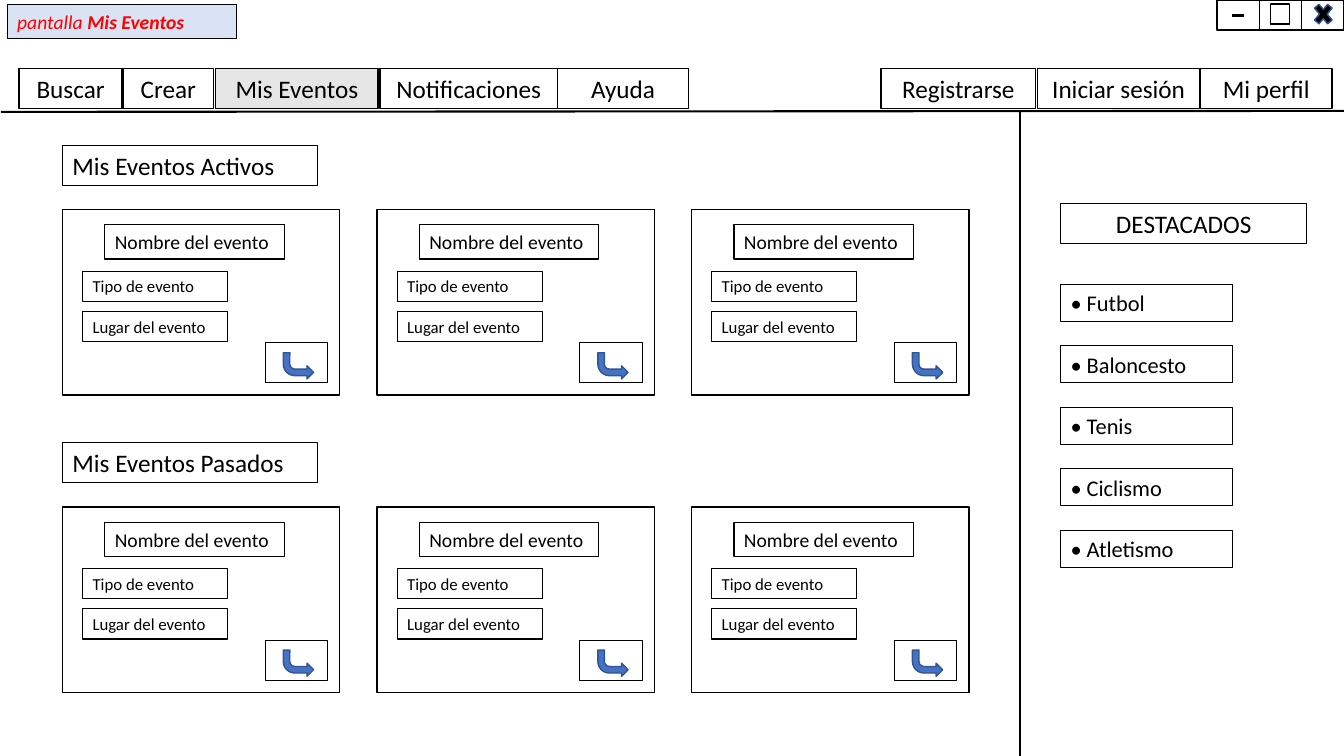
from pptx import Presentation
from pptx.dml.color import RGBColor
from pptx.enum.shapes import MSO_CONNECTOR, MSO_SHAPE
from pptx.enum.text import MSO_ANCHOR, MSO_AUTO_SIZE, PP_ALIGN
from pptx.oxml.ns import qn
from pptx.util import Inches, Pt
from lxml import etree

FONT = "Calibri"
BLACK, WHITE, GRAY, RED = "000000", "FFFFFF", "E7E6E6", "FF0000"
LABEL_BLUE, ICON_BLUE, ICON_EDGE = "DAE3F3", "4472C4", "325491"


def color(hex_text):
    return RGBColor.from_string(hex_text)


def paint(shape, fill, edge, weight):
    if fill:
        shape.fill.solid()
        shape.fill.fore_color.rgb = color(fill)
    else:
        shape.fill.background()
    shape.line.color.rgb = color(edge)
    shape.line.width = Pt(weight)


def write(shape, text, size, align=PP_ALIGN.LEFT, ink=BLACK):
    frame = shape.text_frame
    frame.text = text
    frame.word_wrap = True
    frame.auto_size = MSO_AUTO_SIZE.NONE
    frame.vertical_anchor = MSO_ANCHOR.MIDDLE
    paragraph = frame.paragraphs[0]
    paragraph.alignment = align
    for run in paragraph.runs:
        run.font.name = FONT
        run.font.size = Pt(size)
        run.font.color.rgb = color(ink)


def add_figure(slide, kind, left, top, width, height, fill=None, edge=BLACK, weight=0.75):
    shape = slide.shapes.add_shape(
        kind, Inches(left), Inches(top), Inches(width), Inches(height))
    shape.shadow.inherit = False
    paint(shape, fill, edge, weight)
    return shape


def add_box(slide, left, top, width, height, text="", size=18,
            align=PP_ALIGN.LEFT, fill=None, weight=0.75):
    box = add_figure(slide, MSO_SHAPE.RECTANGLE, left, top, width, height, fill, weight=weight)
    if text:
        write(box, text, size, align)
    return box


def add_line(slide, x1, y1, x2, y2, weight=1.5):
    line = slide.shapes.add_connector(
        MSO_CONNECTOR.STRAIGHT, Inches(x1), Inches(y1), Inches(x2), Inches(y2))
    line.line.color.rgb = color(BLACK)
    line.line.width = Pt(weight)
    etree.SubElement(line._element.spPr, qn("a:effectLst"))


def add_screen_label(slide, left, top, width, height):
    title = slide.shapes.title
    title.left, title.top = Inches(left), Inches(top)
    title.width, title.height = Inches(width), Inches(height)
    paint(title, LABEL_BLUE, BLACK, 0.75)
    title.text_frame.text = "pantalla"
    write(title, "pantalla", 14, ink=RED)
    paragraph = title.text_frame.paragraphs[0]
    name = paragraph.add_run()
    name.text = " Mis Eventos"
    name.font.bold = True
    name.font.name = FONT
    name.font.size = Pt(14)
    name.font.color.rgb = color(RED)
    for run in paragraph.runs:
        run.font.italic = True


def add_menu(slide, top, height):
    tabs = [("Buscar", 0.19, 1.02), ("Crear", 1.22, 0.9), ("Mis Eventos", 2.14, 1.61),
            ("Notificaciones", 3.77, 1.76), ("Ayuda", 5.53, 1.3),
            ("Registrarse", 8.74, 1.53), ("Iniciar sesión", 10.29, 1.61),
            ("Mi perfil", 11.91, 1.3)]
    for text, left, width in tabs:
        fill = GRAY if text == "Mis Eventos" else WHITE
        add_box(slide, left, top, width, height, text, 18, PP_ALIGN.CENTER, fill, 1)


def add_event_card(slide, left, top, width, height):
    add_box(slide, left, top, width, height, fill=WHITE, weight=1)
    add_box(slide, left + 0.42, top + 0.15, 1.78, 0.34, "Nombre del evento", 14)
    for row, text in enumerate(["Tipo de evento", "Lugar del evento"]):
        add_box(slide, left + 0.2, top + 0.61 + 0.4 * row, 1.44, 0.3, text, 12)
    # Open button in the lower right corner
    button_left, button_top = left + width - 0.74, top + height - 0.52
    add_box(slide, button_left, button_top, 0.62, 0.4)
    arrow = add_figure(slide, MSO_SHAPE.BENT_ARROW, button_left + 0.18, button_top + 0.1,
                       0.3, 0.26, ICON_BLUE, ICON_EDGE, 1)
    arrow._element.spPr.find(qn("a:xfrm")).set("flipV", "1")


def add_event_section(slide, left, top, heading):
    add_box(slide, left, top, 2.53, 0.4, heading, 18)
    for column in range(3):
        add_event_card(slide, left + 3.12 * column, top + 0.64, 2.75, 1.84)


def add_highlights(slide, left, top, width):
    add_box(slide, left, top, width, 0.4, "DESTACADOS", 18, PP_ALIGN.CENTER)
    sports = ["Futbol", "Baloncesto", "Tenis", "Ciclismo", "Atletismo"]
    for row, sport in enumerate(sports):
        add_box(slide, left, top + 0.8 + 0.61 * row, 1.7, 0.37, f"• {sport}", 16)


def add_window_buttons(slide, left, top, width, height):
    for index in range(3):
        add_box(slide, left + width * index, top, width, height, fill=WHITE, weight=1)
    # Minimize, maximize and close icons
    add_line(slide, left + 0.15, top + 0.15, left + 0.27, top + 0.15, 2.25)
    add_box(slide, left + width + 0.11, top + 0.04, 0.19, 0.2, weight=1)
    add_figure(slide, MSO_SHAPE.MATH_MULTIPLY, left + 2 * width + 0.09, top - 0.01,
               0.25, 0.3, BLACK, ICON_EDGE, 1)


def main():
    presentation = Presentation()
    presentation.slide_width, presentation.slide_height = Inches(13.33), Inches(7.5)
    slide = presentation.slides.add_slide(presentation.slide_layouts[5])

    # Frame lines
    add_line(slide, 0.01, 1.11, 13.33, 1.1)
    add_line(slide, 10.12, 1.1, 10.12, 7.5)

    # Top bar
    add_screen_label(slide, 0.07, 0.04, 2.28, 0.34)
    add_menu(slide, 0.68, 0.4)
    add_window_buttons(slide, 12.07, 0, 0.42, 0.3)

    # Event lists
    add_event_section(slide, 0.62, 1.44, "Mis Eventos Activos")
    add_event_section(slide, 0.62, 4.39, "Mis Eventos Pasados")

    # Side panel
    add_highlights(slide, 10.52, 2.02, 2.44)

    presentation.save("out.pptx")


if __name__ == "__main__":
    main()
